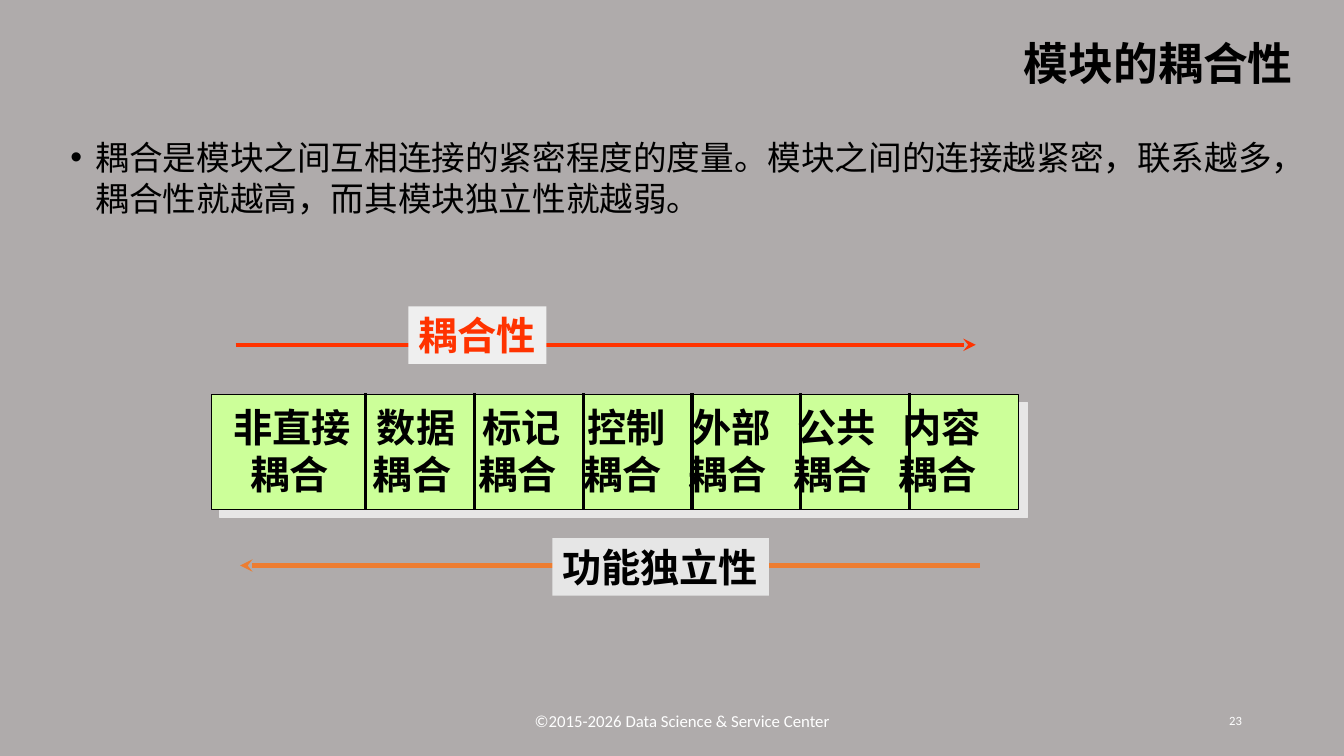
import pptx
import pptx.util
import pptx.dml.color
import pptx.enum.shapes
import pptx.enum.text
import pptx.oxml
import pptx.oxml.ns

Cm = pptx.util.Cm
Pt = pptx.util.Pt
RGB = pptx.dml.color.RGBColor
ALIGN = pptx.enum.text.PP_ALIGN
ANCHOR = pptx.enum.text.MSO_ANCHOR

BLACK = RGB(0x00, 0x00, 0x00)
WHITE = RGB(0xFF, 0xFF, 0xFF)
GREY = RGB(0xAF, 0xAB, 0xAB)
GREEN = RGB(0xCC, 0xFF, 0x99)
RED = RGB(0xFF, 0x33, 0x00)
ORANGE = RGB(0xED, 0x7D, 0x31)
LABEL_TOP = RGB(0xEF, 0xEF, 0xEF)
LABEL_BOTTOM = RGB(0xE6, 0xE6, 0xE6)
CJK = "Noto Sans CJK SC"
SERIF = "Times New Roman"

KINDS = ["数据", "标记", "控制", "外部", "公共", "内容"]
COLUMN_PITCH = 2.65
DIVIDER_PITCH = 2.74


def add_xml(parent, tag, **attrs):
    el = pptx.oxml.parse_xml(f"<{tag} {pptx.oxml.ns.nsdecls('a')}/>")
    for key, value in attrs.items():
        el.set(key, str(value))
    parent.append(el)
    return el


def place(sp, left, top, width, height):
    sp.left, sp.top = Cm(left), Cm(top)
    sp.width, sp.height = Cm(width), Cm(height)


def write(p, text, size=28, font=SERIF, color=BLACK, bold=False,
          align=ALIGN.LEFT, spacing=1.0):
    p.alignment = align
    p.line_spacing = spacing
    r = p.add_run()
    r.text = text
    r.font.size = Pt(size)
    r.font.name = font
    r.font.bold = bold
    r.font.color.rgb = color
    add_xml(r.font._element, "a:ea", typeface=CJK)


def set_tabs(p, stops):
    tabs = add_xml(p._p.get_or_add_pPr(), "a:tabLst")
    for stop in stops:
        add_xml(tabs, "a:tab", pos=Cm(stop), algn="l")


def add_text(s, box, text, anchor=ANCHOR.TOP, fill=None, **fmt):
    sp = s.shapes.add_textbox(*map(Cm, box))
    if fill is not None:
        sp.fill.solid()
        sp.fill.fore_color.rgb = fill
    tf = sp.text_frame
    tf.word_wrap = True
    tf.vertical_anchor = anchor
    write(tf.paragraphs[0], text, **fmt)


def add_line(s, x1, y1, x2, y2, color=BLACK, width=2.25, arrow=False):
    cn = s.shapes.add_connector(pptx.enum.shapes.MSO_CONNECTOR.STRAIGHT,
                                Cm(x1), Cm(y1), Cm(x2), Cm(y2))
    cn.line.color.rgb = color
    cn.line.width = Pt(width)
    if arrow:
        add_xml(cn.line._get_or_add_ln(), "a:tailEnd", type="stealth")
    add_xml(cn._element.spPr, "a:effectLst")


def add_band(s):
    sp = s.shapes.add_shape(pptx.enum.shapes.MSO_SHAPE.RECTANGLE,
                            Cm(5.33), Cm(9.93), Cm(20.35), Cm(2.9))
    sp.fill.solid()
    sp.fill.fore_color.rgb = GREEN
    sp.line.color.rgb = BLACK
    sp.line.width = Pt(0.75)
    effects = add_xml(sp._element.spPr, "a:effectLst")
    shadow = add_xml(effects, "a:outerShdw", dist=Pt(8.5), dir=45 * 60000,
                     algn="ctr", rotWithShape=0)
    add_xml(shadow, "a:srgbClr", val="E7E6E6")


def add_kinds(s):
    sp = s.shapes.add_textbox(Cm(5.64), Cm(10.03), Cm(19.84), Cm(2.62))
    tf = sp.text_frame
    tf.word_wrap = True
    columns = [COLUMN_PITCH * i for i in range(len(KINDS))]
    p = tf.paragraphs[0]
    set_tabs(p, [3.61 + x for x in columns])
    write(p, "\t".join(["非直接"] + KINDS), bold=True)
    p = tf.add_paragraph()
    set_tabs(p, [0.43] + [3.51 + x for x in columns])
    write(p, "\t耦合" * (len(KINDS) + 1), bold=True)
    for i in range(len(KINDS)):
        x = 9.22 + DIVIDER_PITCH * i
        add_line(s, x, 9.91, x, 12.84)


def add_title(s):
    sp = s.shapes.title
    place(sp, 4.14, 0.76, 28.7, 1.8)
    sp.text_frame.vertical_anchor = ANCHOR.MIDDLE
    write(sp.text_frame.paragraphs[0], "模块的耦合性", size=32, font=CJK,
          bold=True, align=ALIGN.RIGHT, spacing=0.9)


def add_body(s):
    sp = s.placeholders[1]
    place(sp, 1.52, 3.33, 30.81, 13.84)
    p = sp.text_frame.paragraphs[0]
    pPr = p._p.get_or_add_pPr()
    pPr.set("marL", str(Cm(0.64)))
    pPr.set("indent", str(Cm(-0.64)))
    add_xml(pPr, "a:buChar", char="•")
    p.space_before = Pt(0)
    p.space_after = Pt(6)
    write(p, "耦合是模块之间互相连接的紧密程度的度量。模块之间的连接越紧密，"
          "联系越多，耦合性就越高，而其模块独立性就越弱。", size=24, font=CJK)


def main():
    prs = pptx.Presentation()
    prs.slide_width, prs.slide_height = Cm(33.87), Cm(19.05)
    s = prs.slides.add_slide(prs.slide_layouts[1])
    s.background.fill.solid()
    s.background.fill.fore_color.rgb = GREY
    add_title(s)
    add_body(s)
    add_band(s)
    add_kinds(s)
    add_line(s, 5.94, 8.69, 24.59, 8.69, RED, 3, arrow=True)
    add_text(s, (10.29, 7.72, 3.48, 1.45), "耦合性", fill=LABEL_TOP,
             color=RED, bold=True)
    add_line(s, 24.69, 14.25, 6.05, 14.25, ORANGE, 3, arrow=True)
    add_text(s, (13.92, 13.56, 5.46, 1.45), "功能独立性",
             fill=LABEL_BOTTOM, bold=True)
    add_text(s, (11.48, 17.65, 11.43, 1.02),
             "©2015-2026 Data Science & Service Center", ANCHOR.MIDDLE,
             size=12, font="Calibri", color=WHITE, align=ALIGN.CENTER)
    add_text(s, (23.93, 17.65, 7.62, 1.02), "23", ANCHOR.MIDDLE,
             size=9, font="Calibri", color=WHITE, align=ALIGN.RIGHT)
    prs.save("out.pptx")


if __name__ == "__main__":
    main()
